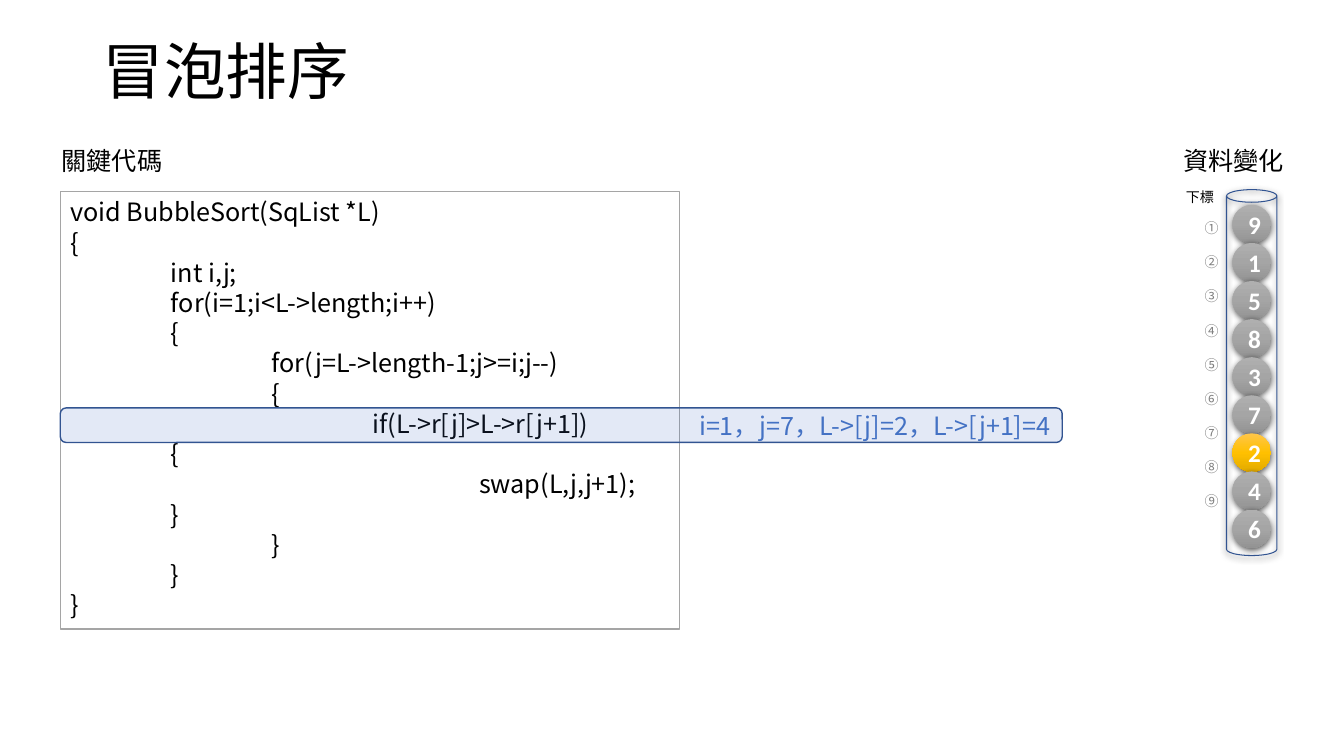
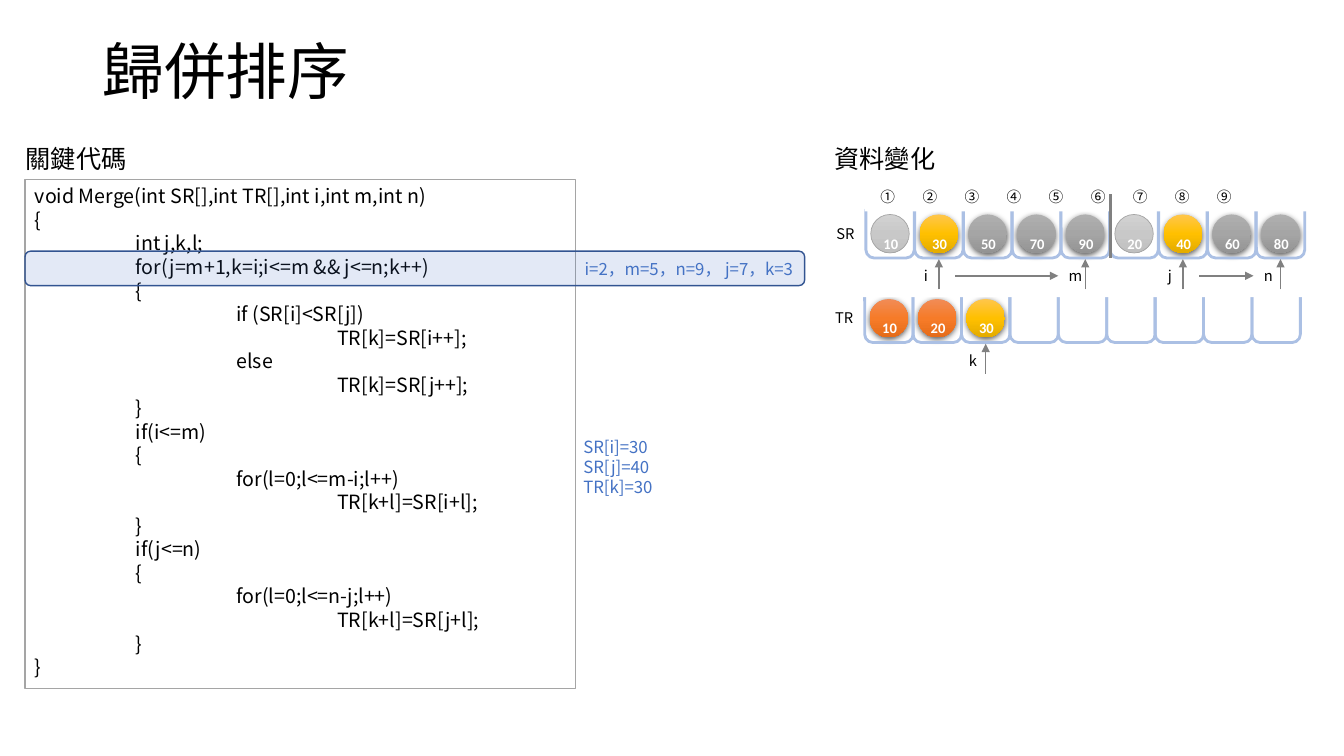
from dataclasses import dataclass

from lxml import etree
from pptx import Presentation
from pptx.dml.color import RGBColor
from pptx.enum.shapes import MSO_CONNECTOR as Connector, MSO_SHAPE as Preset
from pptx.enum.text import MSO_ANCHOR as Anchor, PP_ALIGN as Align
from pptx.oxml import parse_xml
from pptx.oxml.ns import nsdecls, qn
from pptx.util import Cm, Pt


@dataclass(frozen=True)
class Theme:
    font: str = "Noto Sans CJK SC"
    digits: str = "Calibri"
    ink: str = "000000"
    paper: str = "FFFFFF"
    accent: str = "4472C4"
    edge: str = "325491"
    frame: str = "A5A5A5"
    arrow: str = "808080"
    bucket: str = "ABC0E4"
    title: float = 44
    heading: float = 18
    note: float = 12
    mark: float = 10.5
    index: float = 10
    leading: float = 1.2


THEME = Theme()
BALLS = {
    "grey": ("AFAFAF", "A5A5A5", "939393"),
    "gold": ("FFC64B", "FFC000", "E3AB00"),
    "orange": ("F18C57", "F67B28", "E56C19"),
    "faded": ("D2D2D2", "C8C8C8", "C0C0C0"),
}
BALL_SIZE = 0.97
BUCKET_SIZE = 1.22
CODE_TAB = 2.54
INDEXES = "\t".join("①②③④⑤⑥⑦⑧⑨")
DIGITS = {"color": THEME.paper, "font": THEME.digits, "bold": True,
          "align": Align.CENTER, "leading": None}

BUBBLE_CODE = """void BubbleSort(SqList *L)
{
\tint i,j;
\tfor(i=1;i<L->length;i++)
\t{
\t\tfor(j=L->length-1;j>=i;j--)
\t\t{
\t\t\tif(L->r[j]>L->r[j+1])
\t{
\t\t\t\t swap(L,j,j+1);
\t}
\t\t}
\t}
}"""

MERGE_CODE = """void Merge(int SR[],int TR[],int i,int m,int n)
{
\tint j,k,l;
\tfor(j=m+1,k=i;i<=m && j<=n;k++)
\t{
\t\tif (SR[i]<SR[j])
\t\t\tTR[k]=SR[i++];
\t\telse
\t\t\tTR[k]=SR[j++];
\t}
\tif(i<=m)
\t{
\t\tfor(l=0;l<=m-i;l++)
\t\t\tTR[k+l]=SR[i+l];
\t}
\tif(j<=n)
\t{
\t\tfor(l=0;l<=n-j;l++)
\t\t\tTR[k+l]=SR[j+l];
\t}
}"""


def apply(target, **values):
    for name, value in values.items():
        setattr(target, name, value)


def rgb(color):
    return RGBColor.from_string(color)


def place(*lengths):
    return [Cm(length) for length in lengths]


def set_line(shape, color, width):
    shape.line.color.rgb = rgb(color)
    shape.line.width = Pt(width)


def set_tabs(para, pitch, count):
    stops = etree.SubElement(para._p.get_or_add_pPr(), qn("a:tabLst"))
    for number in range(1, count + 1):
        etree.SubElement(stops, qn("a:tab"), pos=str(Cm(number * pitch)), algn="l")


def write(shape, text, size, color=THEME.ink, font=THEME.font, bold=False,
          align=Align.LEFT, leading=THEME.leading, baseline=None, tab=None, **frame):
    """Fill a shape with text, one paragraph a line; leading is a multiple of the size."""
    box = shape.text_frame
    apply(box, **{"word_wrap": True, "vertical_anchor": Anchor.TOP, **frame})
    for number, line in enumerate(text.split("\n")):
        para = box.paragraphs[0] if number == 0 else box.add_paragraph()
        apply(para, alignment=align, line_spacing=Pt(size * leading) if leading else None)
        if tab and "\t" in line:
            set_tabs(para, tab, line.count("\t"))
        span = para.add_run()
        span.text = line
        apply(span.font, size=Pt(size), bold=bold, name=font)
        span.font.color.rgb = rgb(color)
        props = span.font._element
        etree.SubElement(props, qn("a:ea")).set("typeface", font)
        if baseline:
            props.set("baseline", str(baseline))


def add_text(page, box, text, size, **options):
    shape = page.shapes.add_textbox(*place(*box))
    write(shape, text, size, **options)
    return shape


def add_preset(page, preset, box):
    shape = page.shapes.add_shape(preset, *place(*box))
    shape.shadow.inherit = False
    return shape


def add_panel(page, box, border=None):
    """Add a paper-coloured rectangle, with a thin border if a colour is given."""
    panel = add_preset(page, Preset.RECTANGLE, box)
    panel.fill.solid()
    panel.fill.fore_color.rgb = rgb(THEME.paper)
    if border:
        set_line(panel, border, 1)
    else:
        panel.line.fill.background()
    return panel


def add_shadow(shape):
    effects = shape._element.spPr.find(qn("a:effectLst"))
    effects.append(parse_xml(
        f'<a:outerShdw {nsdecls("a")} blurRad="57150" dist="19050" dir="5400000" algn="ctr" '
        'rotWithShape="0"><a:srgbClr val="000000"><a:alpha val="63000"/></a:srgbClr>'
        '</a:outerShdw>'))


def add_line(page, start, end, width=1.0, arrow=True):
    line = page.shapes.add_connector(Connector.STRAIGHT, *place(*start, *end))
    set_line(line, THEME.arrow, width)
    if arrow:
        etree.SubElement(line.line._get_or_add_ln(), qn("a:tailEnd")).set("type", "triangle")
    etree.SubElement(line._element.spPr, qn("a:effectLst"))


def add_ball(page, left, top, kind):
    ball = add_preset(page, Preset.OVAL, (left, top, BALL_SIZE, BALL_SIZE))
    ball.fill.gradient()
    ball.fill.gradient_angle = 270
    stops = ball._element.spPr.find(qn("a:gradFill")).find(qn("a:gsLst"))
    for stop in list(stops):
        stops.remove(stop)
    for position, color in zip((0, 50000, 100000), BALLS[kind]):
        stop = etree.SubElement(stops, qn("a:gs"), pos=str(position))
        etree.SubElement(stop, qn("a:srgbClr"), val=color)
    if kind == "faded":
        set_line(ball, THEME.frame, 0.5)
    else:
        ball.line.fill.background()
        add_shadow(ball)
    return ball


def add_bucket(page, left, top):
    bucket = add_preset(page, Preset.ROUND_2_SAME_RECTANGLE,
                        (left, top, BUCKET_SIZE, BUCKET_SIZE))
    bucket.rotation = 180
    bucket.fill.background()
    set_line(bucket, THEME.bucket, 2)


def add_page(deck, title, code_left, data_left, caption_top):
    page = deck.slides.add_slide(deck.slide_layouts[6])
    add_text(page, (2.34, 0.03, 29.21, 3.45), title, THEME.title,
             vertical_anchor=Anchor.MIDDLE)
    for left, caption in ((code_left, "關鍵代碼"), (data_left, "資料變化")):
        add_text(page, (left, caption_top, 3.1, 1), caption, THEME.heading,
                 word_wrap=False)
    return page


def add_code(page, box, code, size, row, band_width, values, note_size):
    """Frame the code and lay a band with the current values over one row."""
    left, top = box[:2]
    write(add_panel(page, box, THEME.frame), code, size, tab=CODE_TAB)
    pitch, height = Pt(size * THEME.leading).cm, 0.87
    middle = top + 0.17 + (row + 0.5) * pitch
    band = add_preset(page, Preset.ROUNDED_RECTANGLE,
                      (left, middle - height / 2, band_width, height))
    band.fill.solid()
    band.fill.fore_color.rgb = rgb(THEME.accent)
    color = band._element.spPr.find(qn("a:solidFill"))[0]
    etree.SubElement(color, qn("a:alpha")).set("val", "15000")
    set_line(band, THEME.edge, 1)
    write(band, values, note_size, color=THEME.accent, align=Align.RIGHT,
          vertical_anchor=Anchor.MIDDLE)


def add_tube(page, box, numbers, current):
    """Stack the numbers in a tube, with their indexes at its left."""
    left, top, width, _ = box
    add_text(page, (left - 1.42, top - 0.16, 1.5, 0.69), "下標", THEME.index,
             align=Align.CENTER)
    indexes = add_text(page, (left - 0.99, top + 0.55, 0.94, 8.56), INDEXES, THEME.index,
                       color=THEME.arrow, tab=0.86)
    indexes.text_frame._txBody.bodyPr.set("vert", "eaVert")
    tube = add_preset(page, Preset.CAN, box)
    tube.fill.background()
    set_line(tube, THEME.edge, 0.75)
    add_shadow(tube)
    for number, value in enumerate(numbers):
        ball = add_ball(page, left + (width - BALL_SIZE) / 2, top + 0.38 + number * 0.96,
                        "gold" if number == current else "grey")
        write(ball, value, THEME.heading, vertical_anchor=Anchor.MIDDLE, **DIGITS)


def add_bucket_row(page, left, top, pitch, name, balls):
    """Draw nine buckets, named at the left, with balls in the first of them."""
    write(add_panel(page, (left - 0.99, top + 0.25, 0.97, 0.71)), name, THEME.mark,
          word_wrap=False)
    gap = (BUCKET_SIZE - BALL_SIZE) / 2
    for slot, (kind, value) in enumerate(balls):
        x = left + slot * pitch + gap
        add_ball(page, x, top + gap, kind)
        add_text(page, (x + 0.02, top + 0.08, BALL_SIZE, 0.76), value, THEME.heading,
                 baseline=-25000, word_wrap=False, **DIGITS)
    for slot in range(9):
        add_bucket(page, left + slot * pitch, top)


def add_pointers(page, left, top, pitch, slots):
    """Point at buckets from below; return the x of each pointer."""
    bottom = top + BUCKET_SIZE
    places = {}
    for label, slot in slots.items():
        x = places[label] = left + slot * pitch + BUCKET_SIZE / 2
        add_line(page, (x, bottom + 0.79), (x, bottom + 0.03))
        add_text(page, (x - 0.67, bottom + 0.1, 0.69, 0.71), label, THEME.mark,
                 align=Align.CENTER, word_wrap=False)
    return places


def add_merge_rows(page, left, top):
    source, target = (left, top, 1.23), (left - 0.03, top + 2.13, 1.22)
    kinds = "faded gold grey grey grey faded gold grey grey".split()
    values = "10 30 50 70 90 20 40 60 80".split()
    merged = (("orange", "10"), ("orange", "20"), ("gold", "30"))
    add_bucket_row(page, *source, "SR", zip(kinds, values))
    add_bucket_row(page, *target, "TR", merged)

    strip = add_panel(page, (left - 0.03, top - 0.66, 11.91, 0.71))
    write(strip, INDEXES, THEME.mark, tab=1.06, margin_left=Cm(0.4))
    add_panel(page, (left - 0.25, top + 1.76, 11.94, 0.45))

    pointers = add_pointers(page, *source, {"i": 1, "m": 4, "j": 6, "n": 8})
    for first, last in ("im", "jn"):
        y = top + BUCKET_SIZE + 0.45
        add_line(page, (pointers[first] + 0.41, y), (pointers[last] - 0.68, y))
    divider = left + 5 * source[2] + 0.02
    add_line(page, (divider, top - 0.38), (divider, top + BUCKET_SIZE), 2, arrow=False)
    add_pointers(page, *target, {"k": 2})


def add_bubble_page(deck):
    page = add_page(deck, "冒泡排序", 1.3, 29.57, 3.53)
    add_code(page, (1.52, 4.83, 15.6, 11.02), BUBBLE_CODE, 18, 7, 25.25,
             "i=1，j=7，L->[j]=2，L->[j+1]=4", THEME.heading)
    add_tube(page, (30.91, 4.78, 1.27, 9.22), "915837246", 6)


def add_merge_page(deck):
    page = add_page(deck, "歸併排序", 0.4, 20.78, 3.48)
    add_code(page, (0.63, 4.52, 13.87, 12.83), MERGE_CODE, 14, 3, 19.65,
             "i=2，m=5，n=9， j=7，k=3", THEME.note)
    add_text(page, (14.45, 10.87, 2.49, 1.8), "SR[i]=30\nSR[j]=40\nTR[k]=30", THEME.note,
             color=THEME.accent)
    add_merge_rows(page, 21.82, 5.28)


def main():
    deck = Presentation()
    apply(deck, slide_width=Cm(33.87), slide_height=Cm(19.05))
    add_bubble_page(deck)
    add_merge_page(deck)
    deck.save("out.pptx")


if __name__ == "__main__":
    main()
